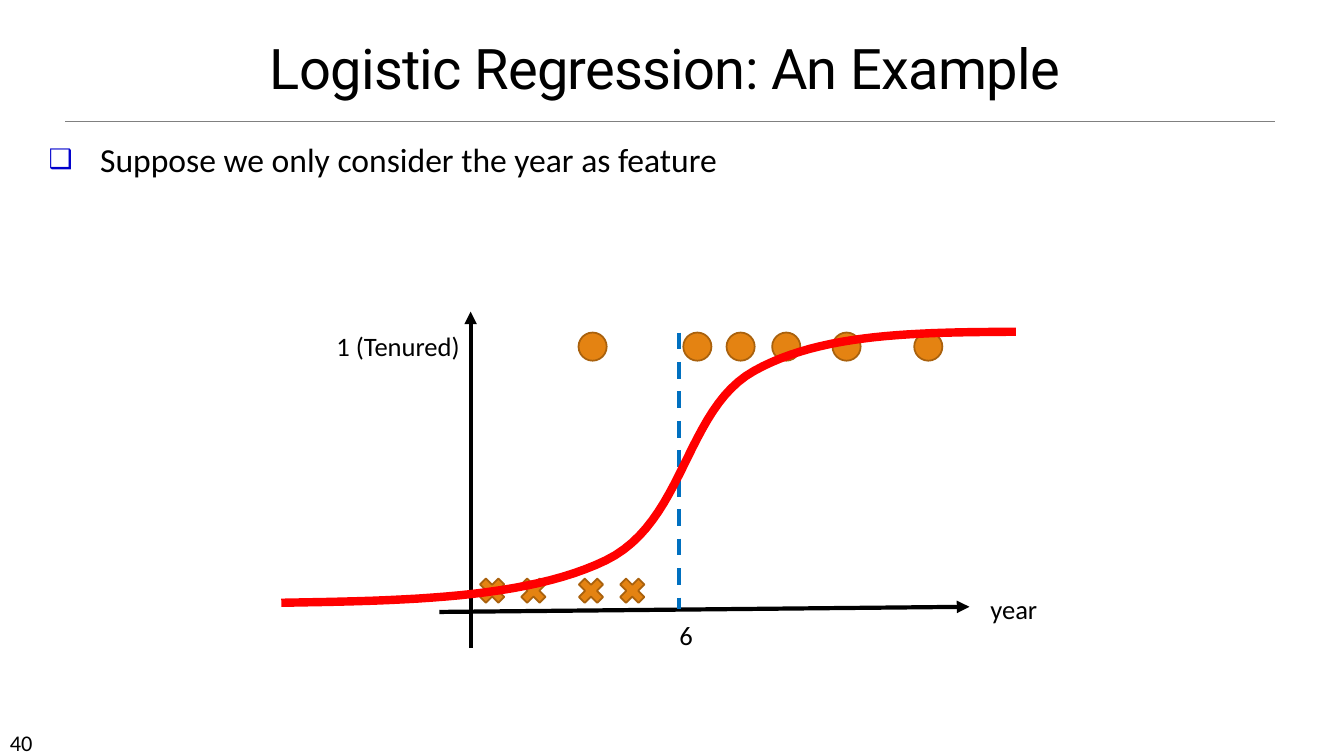
from lxml import etree
from pptx import Presentation
from pptx.dml.color import RGBColor
from pptx.enum import dml, shapes, text
from pptx.oxml import ns
from pptx.util import Cm, Pt

BLACK = RGBColor(0, 0, 0)
GREY = RGBColor(0x80, 0x80, 0x80)
ORANGE = RGBColor(0xE4, 0x83, 0x12)
BROWN = RGBColor(0xA9, 0x61, 0x0D)
BLUE = RGBColor(0x00, 0x70, 0xC0)
RED = RGBColor(0xFF, 0, 0)
NAVY = RGBColor(0, 0, 0xCC)

CIRCLES = [7.49, 10.13, 11.22, 12.37, 13.89, 15.95]
CROSSES = [4.87, 5.91, 7.36, 8.4]
LABELS = [("year", 17.62, 6.96, 1.7), ("6", 9.78, 7.62, 0.86),
          ("1 (Tenured)", 1.14, 0.33, 3.66)]
CURVE = [(0, 7.34), (3.1, 7.29), (6.19, 7.24), (8.18, 6.27), (10.16, 5.31),
         (10.18, 2.46), (11.91, 1.5), (13.64, 0.53), (16.07, 0.53), (18.51, 0.51)]


def sub(parent, tag, **attrs):
    """Append a DrawingML element to a parent."""
    return etree.SubElement(parent, ns.qn(tag), **attrs)


def style(para, size, name="Calibri"):
    """Set the font of a paragraph."""
    para.font.size, para.font.name = Pt(size), name
    para.font.color.rgb = BLACK


def place(shape, box):
    """Move a shape to a box given in centimetres."""
    shape.left, shape.top, shape.width, shape.height = map(Cm, box)


def line(slide, x1, y1, x2, y2, color, width, arrow=False):
    """Draw a straight line, with an arrowhead if asked."""
    link = slide.shapes.add_connector(
        shapes.MSO_CONNECTOR.STRAIGHT, Cm(x1), Cm(y1), Cm(x2), Cm(y2))
    link.line.color.rgb, link.line.width = color, Pt(width)
    if arrow:
        sub(link.line._get_or_add_ln(), "a:tailEnd", type="triangle")
    sub(link._element.spPr, "a:effectLst")
    return link


def label(slide, words, box, size):
    """Write a short unwrapped text."""
    note = slide.shapes.add_textbox(*map(Cm, box))
    note.text_frame.word_wrap = False
    note.text_frame.text = words
    style(note.text_frame.paragraphs[0], size)


def mark(slide, kind, x, y, size):
    """Draw one data point."""
    dot = slide.shapes.add_shape(kind, Cm(x), Cm(y), Cm(size), Cm(size))
    dot.shadow.inherit = False
    dot.fill.solid()
    dot.fill.fore_color.rgb = ORANGE
    dot.line.color.rgb, dot.line.width = BROWN, Pt(1.25)


def head(slide, box):
    """Fill the title and rule a line below it."""
    title = slide.shapes.title
    place(title, box)
    frame = title.text_frame
    frame.text = "Logistic Regression: An Example"
    frame.vertical_anchor = text.MSO_ANCHOR.BOTTOM
    frame.auto_size = text.MSO_AUTO_SIZE.NONE
    para = frame.paragraphs[0]
    para.alignment, para.line_spacing = text.PP_ALIGN.CENTER, 0.85
    style(para, 40, "Roboto")
    para.runs[0]._r.get_or_add_rPr().set("spc", "-50")
    x, y, w, h = box
    line(slide, x + 0.68, y + h + 0.38, x + w - 0.41, y + h + 0.38, GREY, 0.5)


def body(slide, box):
    """Fill the bullet list."""
    item = slide.placeholders[1]
    place(item, box)
    frame = item.text_frame
    frame.text = "Suppose we only consider the year as feature"
    frame.auto_size = text.MSO_AUTO_SIZE.NONE
    para = frame.paragraphs[0]
    para.space_before = Pt(0)
    props = para._p.get_or_add_pPr()
    props.set("marL", str(Cm(1.3)))
    props.set("indent", str(-Cm(1.3)))
    sub(sub(props, "a:buClr"), "a:srgbClr", val=str(NAVY))
    sub(props, "a:buSzPct", val="80000")
    sub(props, "a:buChar", char="❑")
    style(para, 24)


def bend(a, b, c, d, steps=24):
    """List points along a cubic curve after its start."""
    for i in range(1, steps + 1):
        t = i / steps
        s = 1 - t
        yield tuple(s**3 * p + 3 * s * s * t * q + 3 * s * t * t * r + t**3 * v
                    for p, q, r, v in zip(a, b, c, d))


def plot(slide, x, y):
    """Draw the axes, points, threshold and logistic curve."""
    line(slide, x + 4.77, y + 8.48, x + 4.77, y, BLACK, 3, True)
    line(slide, x + 3.98, y + 7.57, x + 17.34, y + 7.44, BLACK, 3, True)
    for dx in CROSSES:
        mark(slide, shapes.MSO_SHAPE.MATH_MULTIPLY, x + dx, y + 6.59, 0.89)
    for dx in CIRCLES:
        mark(slide, shapes.MSO_SHAPE.OVAL, x + dx, y + 0.53, 0.71)
    for words, dx, dy, w in LABELS:
        label(slide, words, (x + dx, y + dy, w, 1.07), 19)
    cut = line(slide, x + 10.03, y + 0.53, x + 10.03, y + 7.49, BLUE, 3)
    cut.line.dash_style = dml.MSO_LINE.DASH
    points = [(Cm(x + px), Cm(y + py)) for i in range(0, len(CURVE) - 1, 3)
              for px, py in bend(*CURVE[i:i + 4])]
    pen = slide.shapes.build_freeform(Cm(x + CURVE[0][0]), Cm(y + CURVE[0][1]))
    pen.add_line_segments(points, close=False)
    curve = pen.convert_to_shape()
    curve.shadow.inherit = False
    curve.fill.background()
    curve.line.color.rgb, curve.line.width = RED, Pt(6)


def main():
    """Build and save the slide."""
    deck = Presentation()
    deck.slide_width, deck.slide_height = Cm(33.87), Cm(19.05)
    slide = deck.slides.add_slide(deck.slide_layouts[1])
    head(slide, (0.97, 0.61, 31.57, 2.06))
    body(slide, (0.97, 3.38, 31.67, 14.96))
    plot(slide, 7.09, 7.85)
    label(slide, "40", (0, 18.24, 2.97, 0.76), 16)
    deck.save("out.pptx")


if __name__ == "__main__":
    main()
